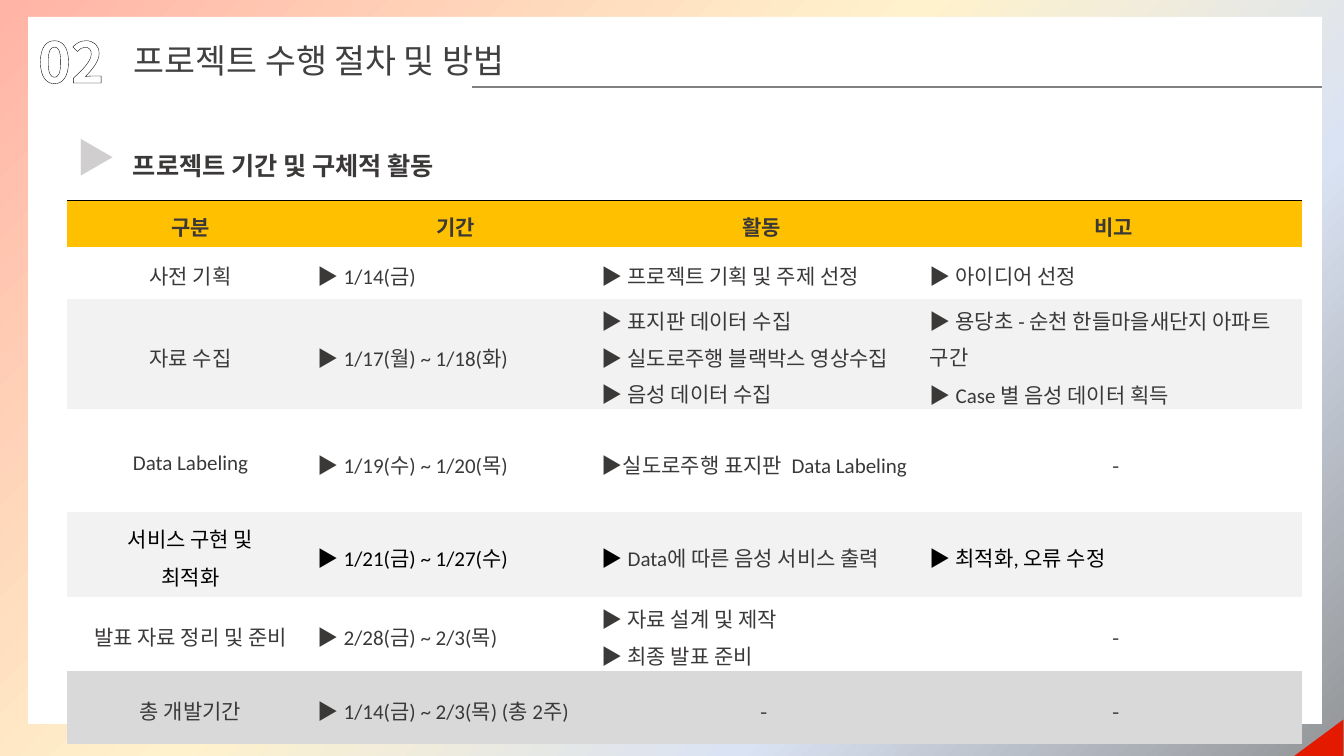
from lxml.etree import SubElement
from pptx import Presentation
from pptx.dml.color import RGBColor
from pptx.enum.dml import MSO_PATTERN
from pptx.enum.shapes import MSO_CONNECTOR, MSO_SHAPE
from pptx.enum.text import MSO_ANCHOR, MSO_AUTO_SIZE, PP_ALIGN
from pptx.oxml.ns import qn
from pptx.util import Pt

EMU_PER_PX = 914400 / 100.8
LATIN, KOREAN = "Calibri", "Noto Sans CJK KR"
NO_STYLE = "{2D5ABB26-0587-4C30-8999-92F81FD0307C}"
COLORS = {
    "ink": "3B3838", "title": "404040", "black": "000000", "white": "FFFFFF",
    "gray": "939597", "pale": "D0CECE", "rule": "808080", "corner": "E41A00",
    "header": "FFC000", "band": "F2F2F2", "total": "D9D9D9",
}
BACKGROUND_STOPS = ((0, "FFB4A5"), (44, "FFF2CC"), (71, "DAE3F3"), (100, "939597"))
COLUMN_WIDTHS = (247, 284, 328, 376)
SCHEDULE = (
    (39, "header", ("구분", "기간", "활동", "비고")),
    (52, "white", ("사전 기획", "▶ 1/14(금)", "▶ 프로젝트 기획 및 주제 선정", "▶ 아이디어 선정")),
    (71, "band", ("자료 수집", "▶ 1/17(월) ~ 1/18(화)",
                  "▶ 표지판 데이터 수집\n▶ 실도로주행 블랙박스 영상수집\n▶ 음성 데이터 수집",
                  "▶ 용당초 - 순천 한들마을새단지 아파트 구간\n▶ Case 별 음성 데이터 획득")),
    (103, "white", ("Data Labeling", "▶ 1/19(수) ~ 1/20(목)",
                    "▶실도로주행 표지판  Data Labeling", "-")),
    (79, "band", ("서비스 구현 및\n최적화", "▶ 1/21(금) ~ 1/27(수)",
                  "▶ Data에 따른 음성 서비스 출력", "▶ 최적화, 오류 수정")),
    (71, "white", ("발표 자료 정리 및 준비", "▶ 2/28(금) ~ 2/3(목)",
                   "▶ 자료 설계 및 제작\n▶ 최종 발표 준비", "-")),
    (52, "total", ("총 개발기간", "▶ 1/14(금) ~ 2/3(목) (총 2주)", "-", "-")),
)
SERVICE_ROW, ACTIVITY_COLUMN = 4, 2


def px(length):
    """Turn a length in px into EMU."""
    return round(length * EMU_PER_PX)


def rgb(name):
    """Look up a named colour."""
    return RGBColor.from_string(COLORS[name])


def add_line_properties(parent, tag, width, color):
    """Put a solid outline first among the properties of a run or cell."""
    line = SubElement(parent, qn(tag), w=str(Pt(width)))
    fill = SubElement(line, qn("a:solidFill"))
    SubElement(fill, qn("a:srgbClr"), val=COLORS[color])
    parent.insert(0, line)


def write(paragraph, text, *, size, font=LATIN, color="ink", bold=False,
          pattern=None, outline=None):
    """Add one formatted run to a paragraph."""
    run = paragraph.add_run()
    run.text = text
    run.font.size, run.font.bold, run.font.name = Pt(size), bold, font
    if pattern:
        run.font.fill.patterned()
        run.font.fill.pattern = MSO_PATTERN.DARK_UPWARD_DIAGONAL
        run.font.fill.fore_color.rgb, run.font.fill.back_color.rgb = map(rgb, pattern)
    else:
        run.font.color.rgb = rgb(color)
    properties = run.font._element
    SubElement(properties, qn("a:ea"), typeface=KOREAN)
    if outline:
        add_line_properties(properties, "a:ln", *outline)


def add_text(slide, box, text, wrap=True, line_spacing=None, **style):
    """Add a one-paragraph text box."""
    frame = slide.shapes.add_textbox(*map(px, box)).text_frame
    frame.word_wrap = wrap
    frame.auto_size = MSO_AUTO_SIZE.SHAPE_TO_FIT_TEXT
    frame.paragraphs[0].line_spacing = line_spacing
    write(frame.paragraphs[0], text, **style)


def add_block(slide, kind, box, color, rotation=0):
    """Add a plain filled shape without an outline."""
    shape = slide.shapes.add_shape(kind, *map(px, box))
    shape.shadow.inherit = False
    shape.fill.solid()
    shape.fill.fore_color.rgb = rgb(color)
    shape.line.fill.background()
    shape.rotation = rotation


def add_backdrop(slide, box):
    """Paint the gradient, the red corner and the white panel."""
    fill = slide.background.fill
    fill.gradient()
    fill.gradient_angle = 315
    stops = slide.element.find(".//" + qn("a:gsLst"))
    for stop in list(stops):
        stops.remove(stop)
    for position, color in BACKGROUND_STOPS:
        stop = SubElement(stops, qn("a:gs"), pos=str(position * 1000))
        SubElement(stop, qn("a:srgbClr"), val=color)
    left, top, width, height = box
    add_block(slide, MSO_SHAPE.RIGHT_TRIANGLE,
              (left + width - 44, top + height - 43, 37, 50), "corner", rotation=270)
    add_block(slide, MSO_SHAPE.RECTANGLE,
              (left + 28, top + 17, width - 50, height - 49), "white")


def add_heading(slide, box):
    """Place the number, the title and the rule below it."""
    left, top, width, height = box
    add_text(slide, (left + 96, top + 13, 462, 51), "프로젝트 수행 절차 및 방법",
             wrap=False, size=24, font=KOREAN, color="title")
    add_text(slide, (left, top, 104, 78), "02", size=40, font=KOREAN, bold=True,
             pattern=("ink", "white"), outline=(1.25, "black"))
    rule_top = px(top + height)
    rule = slide.shapes.add_connector(MSO_CONNECTOR.STRAIGHT, px(left + 444), rule_top,
                                      px(left + width), rule_top)
    rule.line.color.rgb = rgb("rule")
    rule.line.width = Pt(1)
    SubElement(rule._element.spPr, qn("a:effectLst"))


def add_subheading(slide, box):
    """Place the arrow mark and the section name."""
    left, top, width, height = box
    add_text(slide, (left, top, 55, height), "▶", size=28, font=KOREAN, bold=True,
             pattern=("gray", "pale"), outline=(1, "gray"))
    add_text(slide, (left + 56, top + 2, width - 56, 51), "프로젝트 기간 및 구체적 활동",
             line_spacing=1.5, size=18, bold=True)


def fill_cell(cell, text, row, column):
    """Write the lines of one schedule cell with their marks."""
    cell.vertical_anchor = MSO_ANCHOR.MIDDLE
    if row and column:
        cell.margin_left = px(4)
        cell.margin_top = cell.margin_right = cell.margin_bottom = 0
    mark_color = "black" if row == SERVICE_ROW else "ink"
    text_color = "ink" if column == ACTIVITY_COLUMN else mark_color
    for index, line in enumerate(text.split("\n")):
        frame = cell.text_frame
        paragraph = frame.add_paragraph() if index else frame.paragraphs[0]
        paragraph.line_spacing = 1.2
        if index and (row, column) != (2, ACTIVITY_COLUMN):
            paragraph.space_before = Pt(0.9)
        if not row or not column or line == "-":
            paragraph.alignment = PP_ALIGN.CENTER
        for prefix in ("▶ ", "▶", "-"):
            if line.startswith(prefix):
                write(paragraph, prefix, size=15, font=KOREAN, color=mark_color,
                      bold="▶" in prefix)
                line = line[len(prefix):]
        if line:
            write(paragraph, line, size=15, color=text_color, bold=row == 0)


def add_schedule(slide, left, top):
    """Build the schedule table."""
    height = sum(row[0] for row in SCHEDULE)
    box = map(px, (left, top, sum(COLUMN_WIDTHS), height))
    table = slide.shapes.add_table(len(SCHEDULE), len(COLUMN_WIDTHS), *box).table
    table.first_row = table.horz_banding = False
    table._tbl.tblPr.find(qn("a:tableStyleId")).text = NO_STYLE
    for column, width in zip(table.columns, COLUMN_WIDTHS):
        column.width = px(width)
    for row, (row_height, color, texts) in enumerate(SCHEDULE):
        table.rows[row].height = px(row_height)
        for column, text in enumerate(texts):
            cell = table.cell(row, column)
            fill_cell(cell, text, row, column)
            cell.fill.solid()
            cell.fill.fore_color.rgb = rgb(color)
            if row == 0:
                add_line_properties(cell._tc.tcPr, "a:lnT", 0.75, "black")


def main():
    """Build and save the presentation."""
    presentation = Presentation()
    presentation.slide_width, presentation.slide_height = px(1344), px(756)
    slide = presentation.slides.add_slide(presentation.slide_layouts[6])
    add_backdrop(slide, (0, 0, 1344, 756))
    add_schedule(slide, 67, 200)
    add_heading(slide, (28, 22, 1294, 65))
    add_subheading(slide, (67, 128, 407, 57))
    presentation.save("out.pptx")


if __name__ == "__main__":
    main()
